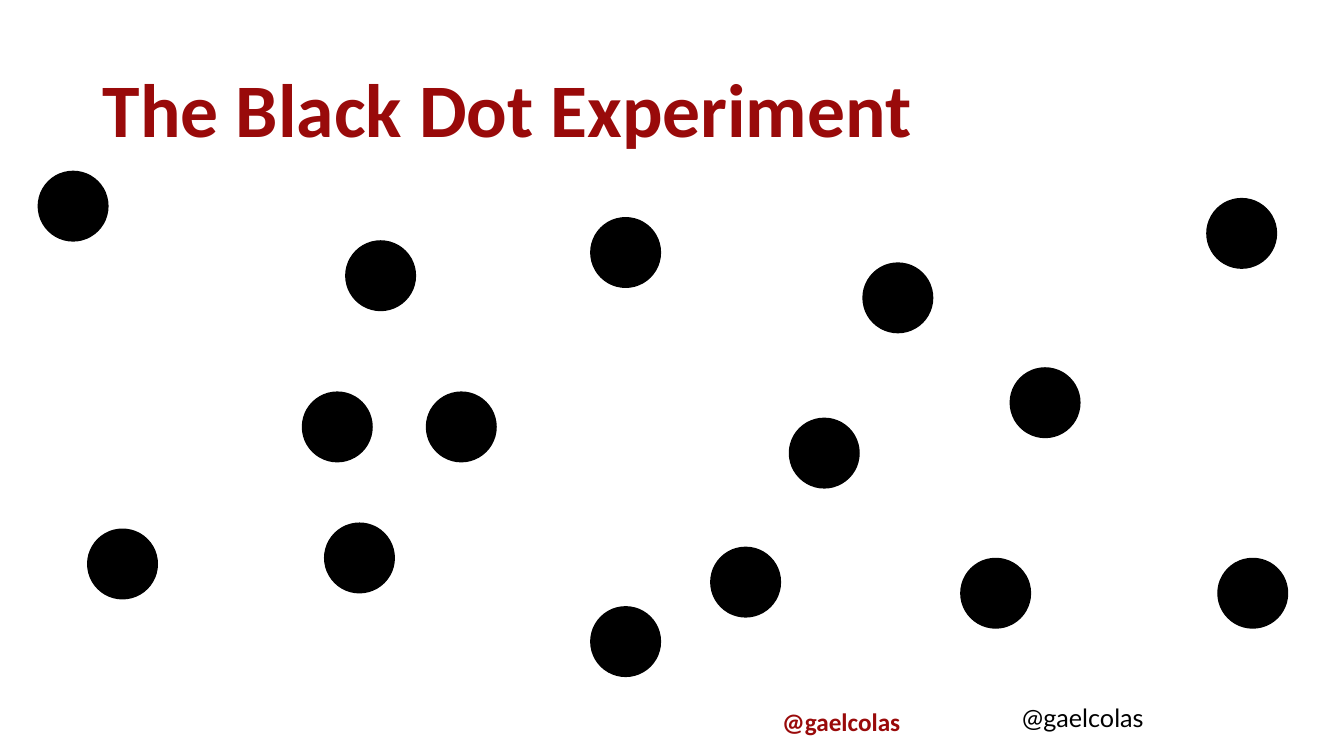
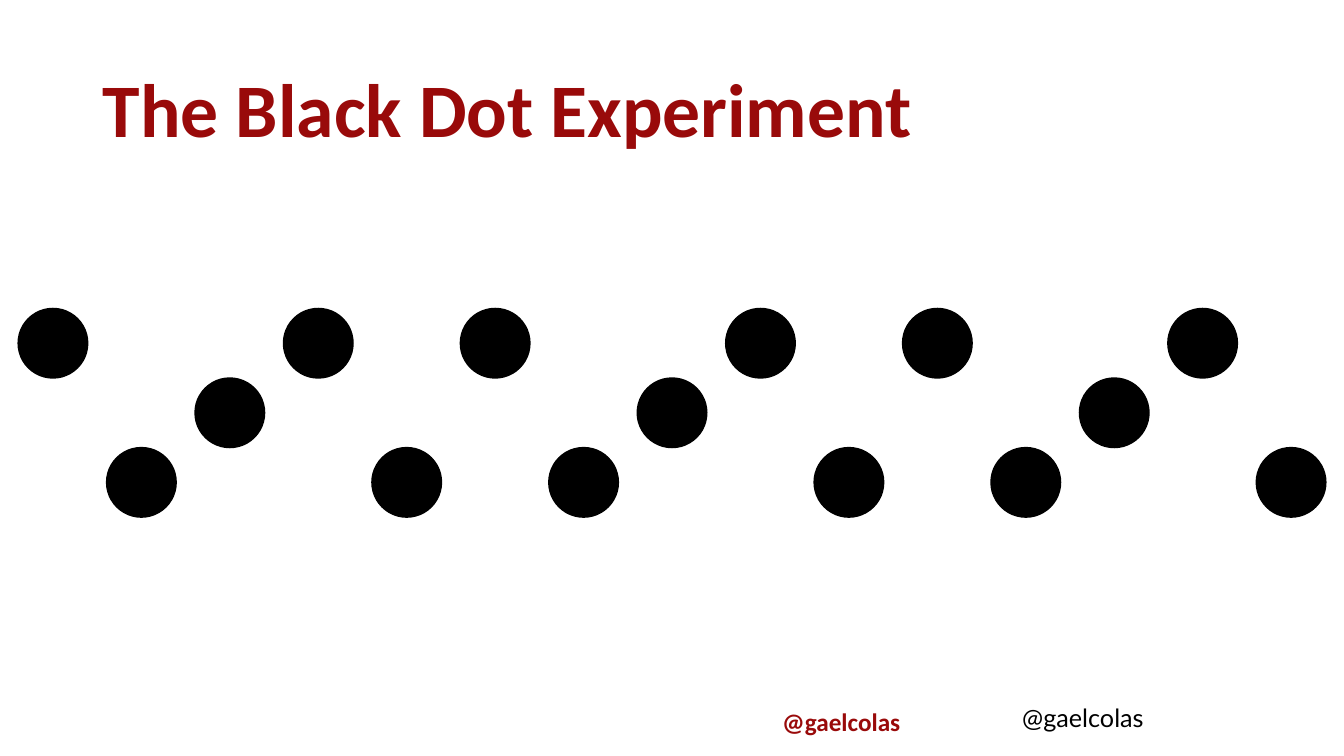
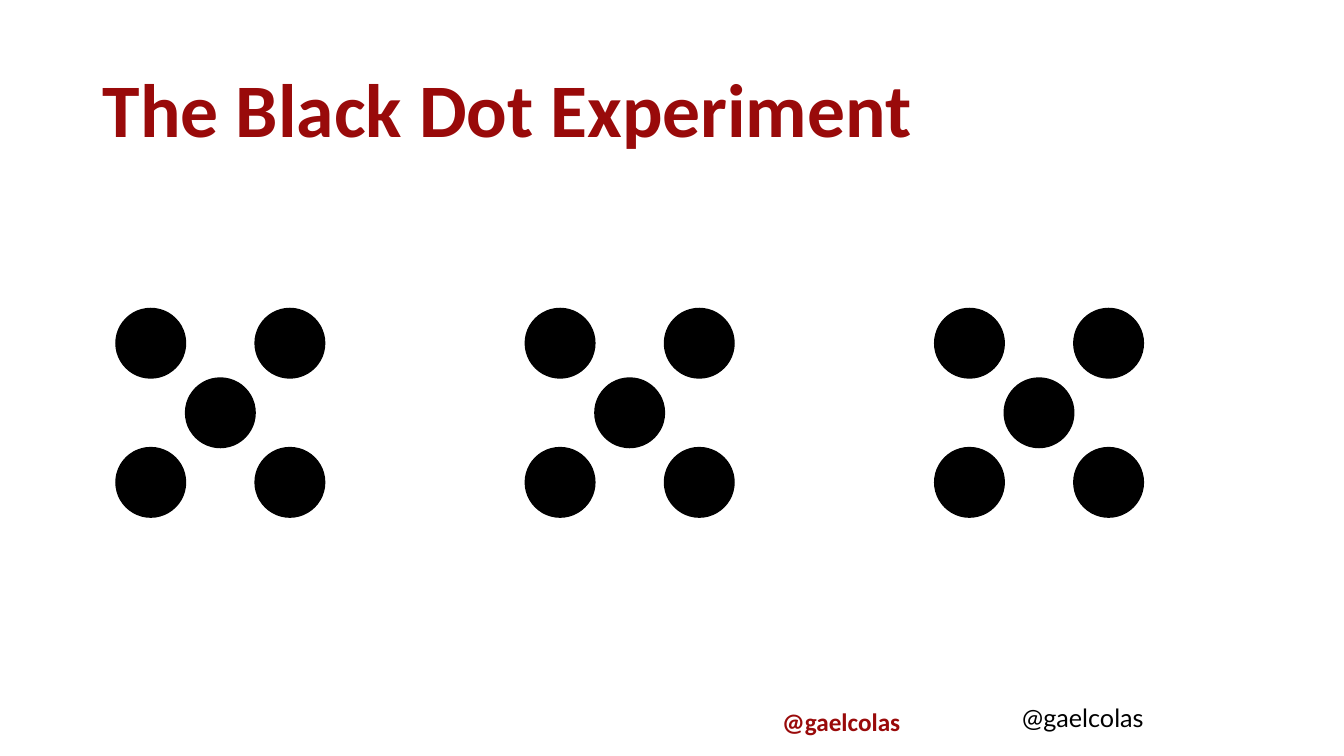
from pptx import Presentation
from pptx import util as u
from pptx.dml.color import RGBColor
from pptx.enum import shapes, text

RED, BLACK, WHITE = "990A0A", "000000", "FFFFFF"
DOT = 0.69
TITLE_BOX = (0.92, 0.4, 10.64, 1.45)
BRAND_BOX = (7.66, 6.96, 2.49, 0.4)
HANDLE_BOX = (10.04, 6.92, 2.38, 0.4)
TITLE_FONT = {"name": "Calibri", "size": u.Pt(54), "bold": True}
BRAND_FONT = {"name": "Calibri", "size": u.Pt(18), "bold": True}
HANDLE_FONT = {"name": "Lato", "size": u.Pt(18), "bold": False}
SCATTER = [
    (0, 0), (3.05, 0.69), (2.62, 2.19), (0.49, 3.55), (2.84, 3.49),
    (5.48, 0.46), (7.45, 2.45), (3.85, 2.19), (5.48, 4.32), (6.67, 3.73),
    (8.18, 0.91), (11.59, 0.27), (9.64, 1.95), (9.15, 3.84), (11.7, 3.84),
]
WAVE_ROWS = [0, 2, 1, 0, 2]
DIE_CELLS = [(0, 0), (2, 0), (1, 1), (0, 2), (2, 2)]
GROUPS = 3


def rgb(value):
    return RGBColor.from_string(value)


def inches(box):
    return [u.Inches(length) for length in box]


def write(holder, words, font, color, anchor, spacing=1.0):
    frame = holder.text_frame
    frame.word_wrap = True
    frame.auto_size = text.MSO_AUTO_SIZE.NONE
    frame.vertical_anchor = anchor
    line = frame.paragraphs[0]
    line.text = words
    line.alignment = text.PP_ALIGN.LEFT
    line.line_spacing = spacing
    for key, value in font.items():
        setattr(line.font, key, value)
    line.font.color.rgb = rgb(color)


def add_title(slide, box):
    title = slide.shapes.title
    title.left, title.top, title.width, title.height = inches(box)
    write(title, "The Black Dot Experiment", TITLE_FONT, RED,
          text.MSO_ANCHOR.MIDDLE, 0.9)


def add_handle(slide, box, font, color, anchor):
    handle = slide.shapes.add_textbox(*inches(box))
    write(handle, "@gaelcolas", font, color, anchor)


def add_dots(slide, left, top, offsets):
    for across, down in offsets:
        dot = slide.shapes.add_shape(
            shapes.MSO_SHAPE.OVAL, *inches((left + across, top + down, DOT, DOT)))
        dot.shadow.inherit = False
        dot.fill.solid()
        dot.fill.fore_color.rgb = rgb(BLACK)
        dot.line.color.rgb = rgb(BLACK)
        dot.line.width = u.Pt(1)


def add_scatter(slide, left, top):
    add_dots(slide, left, top, SCATTER)


def add_wave(slide, left, top, width):
    rows = WAVE_ROWS * GROUPS
    pitch = (width - DOT) / (len(rows) - 1)
    add_dots(slide, left, top,
             [(i * pitch, row * DOT) for i, row in enumerate(rows)])


def add_dice(slide, left, top, pitch):
    for group in range(GROUPS):
        add_dots(slide, left + group * pitch, top,
                 [(column * DOT, row * DOT) for column, row in DIE_CELLS])


def add_slide(deck):
    slide = deck.slides.add_slide(deck.slide_layouts[5])
    slide.background.fill.solid()
    slide.background.fill.fore_color.rgb = rgb(WHITE)
    add_handle(slide, BRAND_BOX, BRAND_FONT, RED, text.MSO_ANCHOR.TOP)
    add_title(slide, TITLE_BOX)
    add_handle(slide, HANDLE_BOX, HANDLE_FONT, BLACK, text.MSO_ANCHOR.MIDDLE)
    return slide


def main():
    deck = Presentation()
    deck.slide_width, deck.slide_height = inches((13.33, 7.5))
    add_scatter(add_slide(deck), 0.38, 1.7)
    add_wave(add_slide(deck), 0.18, 3.06, 12.97)
    add_dice(add_slide(deck), 1.15, 3.06, 4.06)
    deck.save("out.pptx")


if __name__ == "__main__":
    main()
